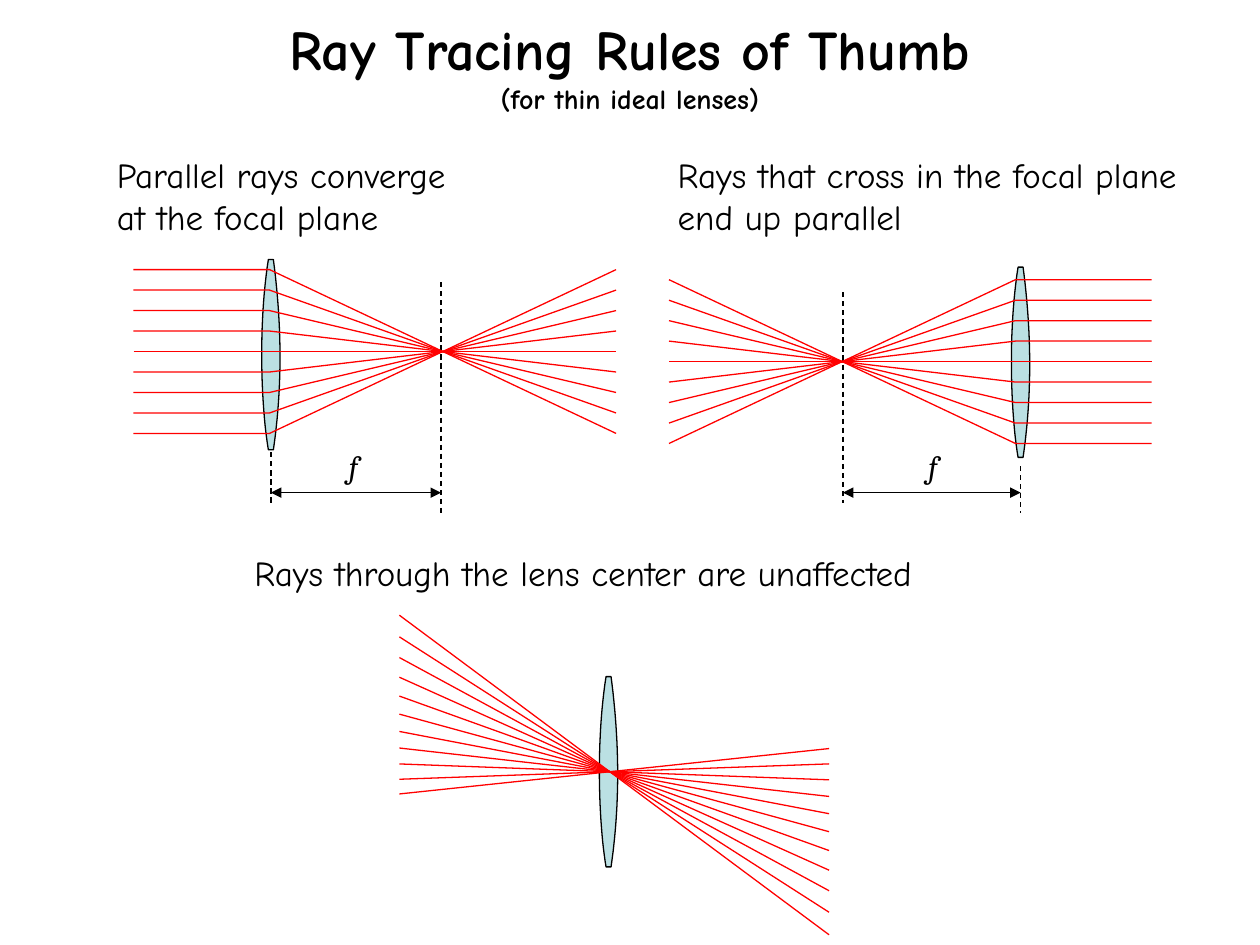
from pptx import Presentation
from pptx.dml.color import RGBColor
from pptx.enum.dml import MSO_LINE
from pptx.enum.shapes import MSO_CONNECTOR
from pptx.enum.text import MSO_ANCHOR, MSO_AUTO_SIZE, PP_ALIGN
from pptx.oxml.ns import qn
from pptx.util import Inches, Pt
from lxml.etree import SubElement

BLACK = RGBColor(0x00, 0x00, 0x00)
RED = RGBColor(0xFF, 0x00, 0x00)
GLASS = RGBColor(0xBB, 0xE0, 0xE3)
HAND_FONT = "Comic Neue"
MATH_FONT = "Cambria"
LENS_WIDTH, LENS_HEIGHT = 0.19, 1.51
LENS_CENTER = 0.1
RAY_GAP = 0.1625


def style_font(font, size, name=HAND_FONT, bold=False, italic=False):
    font.size = Pt(size)
    font.name = name
    font.bold = bold
    font.italic = italic
    font.color.rgb = BLACK


def add_line(slide, start, end, color=BLACK, dashed=False, arrows=False):
    line = slide.shapes.add_connector(
        MSO_CONNECTOR.STRAIGHT, *map(Inches, (*start, *end)))
    line.line.color.rgb = color
    line.line.width = Pt(0.75)
    if dashed:
        line.line.dash_style = MSO_LINE.DASH
    properties = line._element.spPr
    if arrows:
        outline = properties.find(qn("a:ln"))
        for tip in ("a:headEnd", "a:tailEnd"):
            SubElement(outline, qn(tip), type="triangle")
    SubElement(properties, qn("a:effectLst"))


def add_outline(slide, points, color, fill=None):
    corners = [(Inches(x), Inches(y)) for x, y in points]
    builder = slide.shapes.build_freeform(*corners[0])
    builder.add_line_segments(corners[1:], close=fill is not None)
    outline = builder.convert_to_shape()
    outline.shadow.inherit = False
    outline.line.color.rgb = color
    outline.line.width = Pt(0.75)
    if fill is None:
        outline.fill.background()
    else:
        outline.fill.solid()
        outline.fill.fore_color.rgb = fill


def curve(controls, steps=24):
    weights = (1, 3, 3, 1)
    for step in range(steps + 1):
        t = step / steps
        factors = [w * t**i * (1 - t)**(3 - i) for i, w in enumerate(weights)]
        yield tuple(sum(f * c[axis] for f, c in zip(factors, controls))
                    for axis in (0, 1))


def add_lens(slide, left, top):
    left_face = curve([(0.08, LENS_HEIGHT), (0.02, 1.15), (0, 0.51), (0.08, 0)])
    right_face = curve([(0.12, 0), (LENS_WIDTH, 0.53), (LENS_WIDTH, 1.03),
                        (0.12, LENS_HEIGHT)])
    points = [(left + x, top + y) for x, y in (*left_face, *right_face)]
    add_outline(slide, points, BLACK, GLASS)


def add_text(slide, left, top, width, height, lines, size, **style):
    box = slide.shapes.add_textbox(*map(Inches, (left, top, width, height)))
    frame = box.text_frame
    frame.word_wrap = False
    frame.auto_size = MSO_AUTO_SIZE.SHAPE_TO_FIT_TEXT
    frame.text = lines
    for paragraph in frame.paragraphs:
        for run in paragraph.runs:
            style_font(run.font, size, **style)


def add_title(slide, left, top, width, height):
    box = slide.shapes.add_textbox(*map(Inches, (left, top, width, height)))
    frame = box.text_frame
    frame.word_wrap = True
    frame.vertical_anchor = MSO_ANCHOR.MIDDLE
    heading = frame.paragraphs[0]
    heading.alignment = PP_ALIGN.CENTER
    heading.text = "Ray Tracing Rules of Thumb"
    heading.add_line_break()
    heading.add_run().text = "(for thin ideal lenses)"
    for run, size in zip(heading.runs, (32, 16)):
        style_font(run.font, size, bold=True)


def add_focal_diagram(slide, left, top, parallel_x, bend_x, spread_x, lens,
                      focal_x, focal_bottom, lens_mark, label_x):
    axis_y = top + 0.73
    arrow_y = 3.91
    lens_x = left + lens[0] + LENS_CENTER
    add_lens(slide, left + lens[0], top + lens[1])
    add_line(slide, (left + focal_x, top + 0.18),
             (left + focal_x, focal_bottom), dashed=True)
    for step in range(-4, 5):
        offset = step * RAY_GAP
        start = (left + parallel_x, axis_y + offset)
        end = (left + spread_x, axis_y - offset)
        if step:
            bend = (left + bend_x, axis_y + offset)
            add_outline(slide, [start, bend, end], RED)
        else:
            add_line(slide, start, end, RED)
    add_line(slide, (lens_x, lens_mark[0]), (lens_x, lens_mark[1]), dashed=True)
    add_line(slide, (left + focal_x, arrow_y), (lens_x, arrow_y), arrows=True)
    add_text(slide, left + label_x, 3.5, 0.25, 0.4, "f", 18,
             name=MATH_FONT, italic=True)


def add_center_diagram(slide, left, top, width):
    lens_top = top + 0.58
    center_x, center_y = left + 1.67, lens_top + LENS_HEIGHT / 2
    add_lens(slide, left + 1.56, lens_top)
    for step in range(11):
        run = 1.795 + 0.043 * step
        rise = 1.335 - 0.157 * step
        slope = rise / run
        start = (left, center_y - slope * (center_x - left))
        end = (left + width, center_y + slope * (left + width - center_x))
        add_line(slide, start, end, RED)


def main():
    presentation = Presentation()
    presentation.slide_width = Inches(10)
    presentation.slide_height = Inches(7.5)
    slide = presentation.slides.add_slide(presentation.slide_layouts[6])
    add_title(slide, 0.75, 0.18, 8.5, 0.67)
    add_focal_diagram(slide, 1.06, 2.06, parallel_x=0, bend_x=1.08,
                      spread_x=3.83, lens=(0.99, 0), focal_x=2.44,
                      focal_bottom=4.07, lens_mark=(3.59, 3.99), label_x=1.61)
    add_focal_diagram(slide, 5.31, 2.14, parallel_x=3.83, bend_x=2.75,
                      spread_x=0, lens=(2.69, -0.02), focal_x=1.38,
                      focal_bottom=3.99, lens_mark=(3.7, 4.07), label_x=1.96)
    add_center_diagram(slide, 3.17, 4.79, 3.41)
    add_text(slide, 0.83, 1.17, 3.05, 0.8,
             "Parallel rays converge\nat the focal plane", 20)
    add_text(slide, 5.28, 1.17, 4.6, 0.8,
             "Rays that cross in the focal plane\nend up parallel", 20)
    add_text(slide, 1.92, 4.33, 5.99, 0.45,
             "Rays through the lens center are unaffected", 20)
    presentation.save("out.pptx")


if __name__ == "__main__":
    main()
